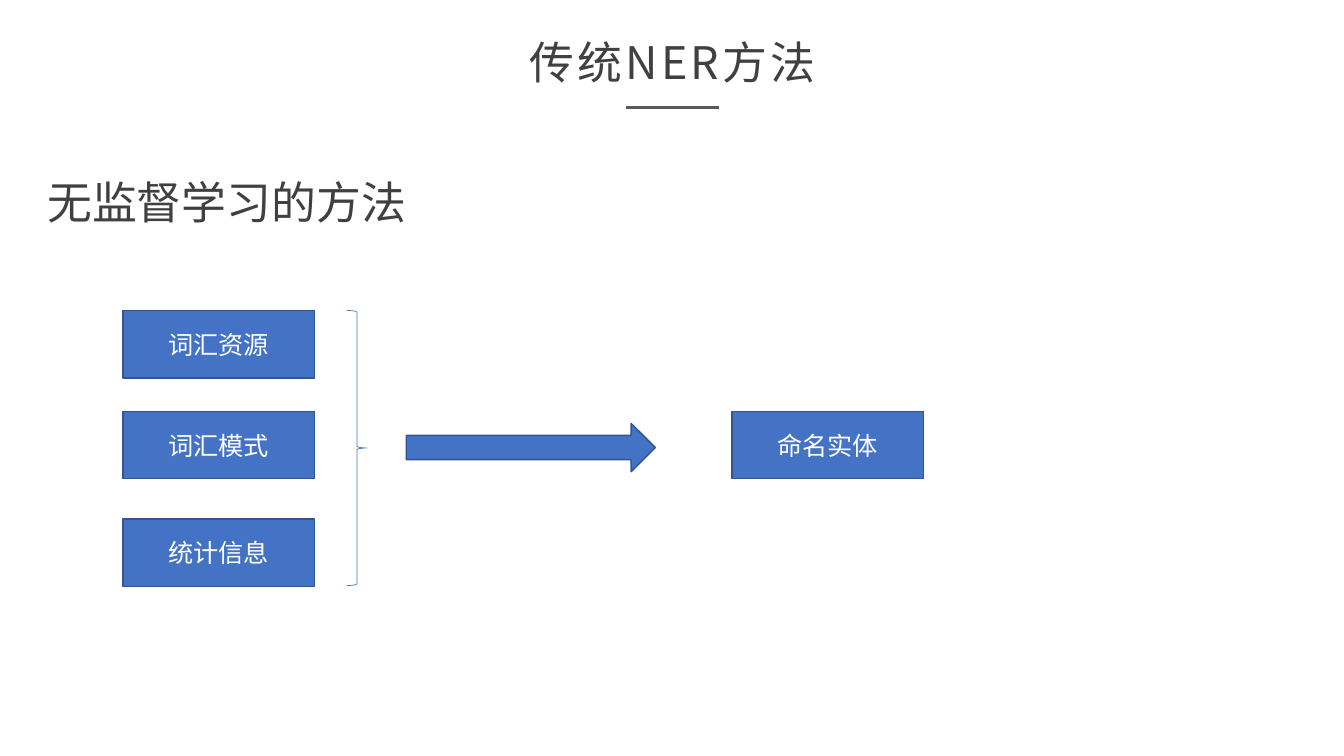
from lxml import etree
from pptx import Presentation
from pptx import util as u
from pptx.dml.color import RGBColor
from pptx.enum import shapes, text
from pptx.oxml import ns

FONT = "Noto Sans CJK SC"
BLUE = RGBColor(0x44, 0x72, 0xC4)
BORDER = RGBColor(0x32, 0x54, 0x91)
INK = RGBColor(0x40, 0x40, 0x40)
RULE = RGBColor(0x59, 0x59, 0x59)
WHITE = RGBColor(0xFF, 0xFF, 0xFF)
BOX_SIZE = (1.9, 0.67)


def inches(*lengths):
    return [u.Inches(length) for length in lengths]


def write(paragraph, words, size, color, spacing=None):
    run = paragraph.add_run()
    run.text = words
    run.font.size = u.Pt(size)
    run.font.color.rgb = color
    run.font.name = FONT
    properties = run.font._element
    etree.SubElement(properties, ns.qn("a:ea"), typeface=FONT)
    if spacing:
        properties.set("spc", str(round(spacing * 100)))


def add_shape(slide, kind, box, fill, line, line_width):
    shape = slide.shapes.add_shape(kind, *inches(*box))
    shape.shadow.inherit = False
    if fill is None:
        shape.fill.background()
    else:
        shape.fill.solid()
        shape.fill.fore_color.rgb = fill
    shape.line.color.rgb = line
    shape.line.width = u.Pt(line_width)
    return shape


def add_label_box(slide, left, top, words):
    shape = add_shape(slide, shapes.MSO_SHAPE.RECTANGLE,
                      (left, top, *BOX_SIZE), BLUE, BORDER, 1)
    frame = shape.text_frame
    frame.vertical_anchor = text.MSO_ANCHOR.MIDDLE
    paragraph = frame.paragraphs[0]
    paragraph.alignment = text.PP_ALIGN.CENTER
    write(paragraph, words, 18, WHITE)


def add_header(slide, box, words):
    left, top, width, height = box
    title = slide.shapes.title
    title.left, title.top, title.width, title.height = inches(*box)
    frame = title.text_frame
    frame.word_wrap = True
    frame.auto_size = text.MSO_AUTO_SIZE.SHAPE_TO_FIT_TEXT
    frame.vertical_anchor = text.MSO_ANCHOR.TOP
    frame.margin_left = frame.margin_right = u.Inches(0.07)
    frame.margin_top = frame.margin_bottom = u.Inches(0.04)
    paragraph = frame.paragraphs[0]
    paragraph.alignment = text.PP_ALIGN.CENTER
    write(paragraph, words, 32, INK, 2.2)

    center, rule_top, half = left + width / 2, top + 0.77, 0.465
    rule = slide.shapes.add_connector(
        shapes.MSO_CONNECTOR.STRAIGHT,
        *inches(center - half, rule_top, center + half, rule_top))
    rule.line.color.rgb = RULE
    rule.line.width = u.Pt(2.25)
    etree.SubElement(rule._element.spPr, ns.qn("a:effectLst"))


def add_subtitle(slide, box, words):
    frame = slide.shapes.add_textbox(*inches(*box)).text_frame
    frame.word_wrap = False
    frame.auto_size = text.MSO_AUTO_SIZE.SHAPE_TO_FIT_TEXT
    write(frame.paragraphs[0], words, 32, INK)


def add_flow(slide, box, inputs, result):
    left, top, width, height = box
    for offset, words in inputs:
        add_label_box(slide, left, top + offset, words)
    add_shape(slide, shapes.MSO_SHAPE.RIGHT_BRACE,
              (left + 2.22, top, 0.2, height), None, BLUE, 0.5)
    add_shape(slide, shapes.MSO_SHAPE.RIGHT_ARROW,
              (left + 2.81, top + 1.12, 2.47, 0.48), BLUE, BORDER, 1)
    add_label_box(slide, left + width - BOX_SIZE[0], top + 1, result)


def main():
    presentation = Presentation()
    presentation.slide_width, presentation.slide_height = inches(13.33, 7.5)
    slide = presentation.slides.add_slide(presentation.slide_layouts[5])
    add_header(slide, (4.79, 0.3, 3.76, 0.61), "传统NER方法")
    add_subtitle(slide, (0.37, 1.68, 3.79, 0.64), "无监督学习的方法")
    add_flow(slide, (1.22, 3.08, 7.94, 2.73),
             [(0, "词汇资源"), (1, "词汇模式"), (2.07, "统计信息")],
             "命名实体")
    presentation.save("out.pptx")


main()
